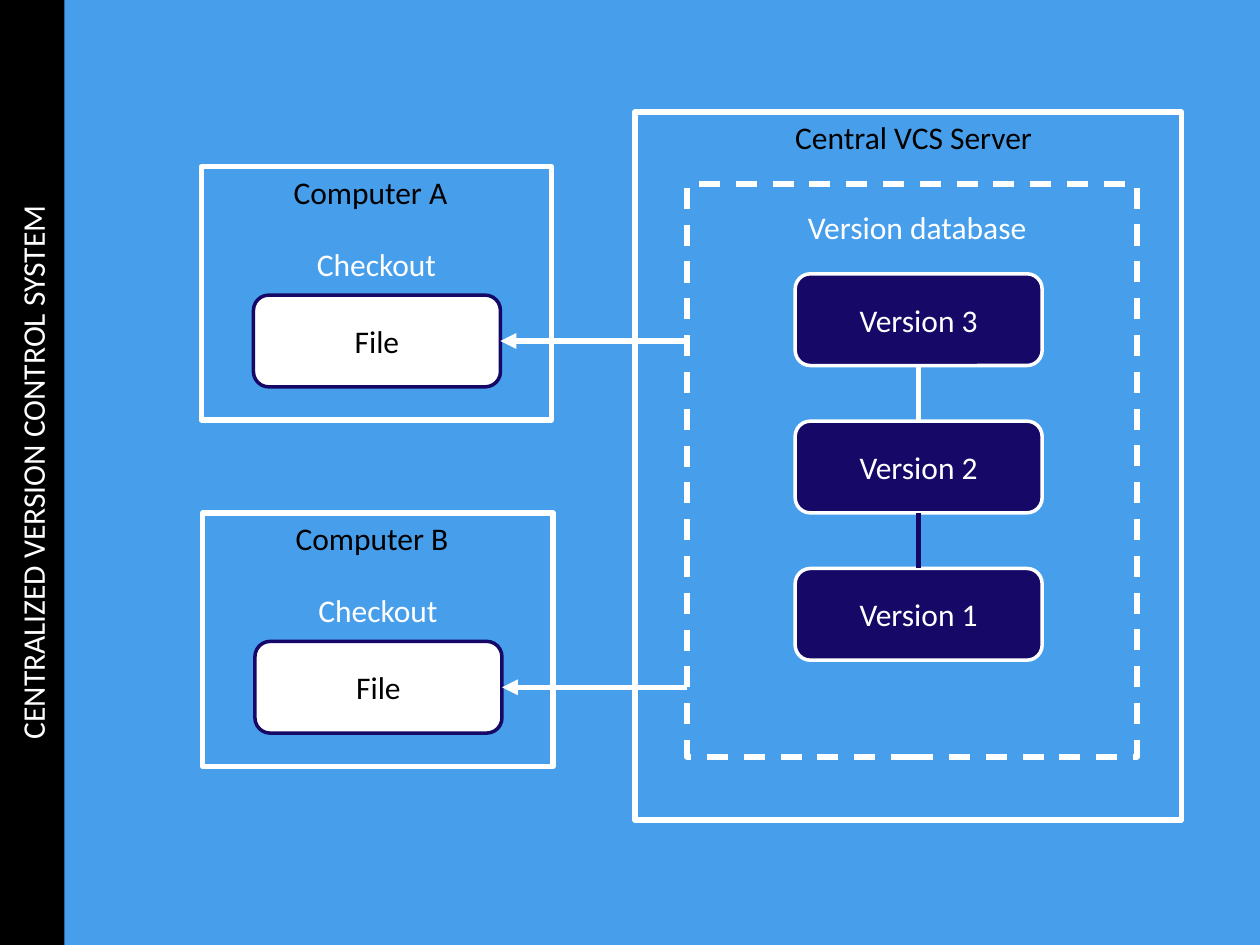
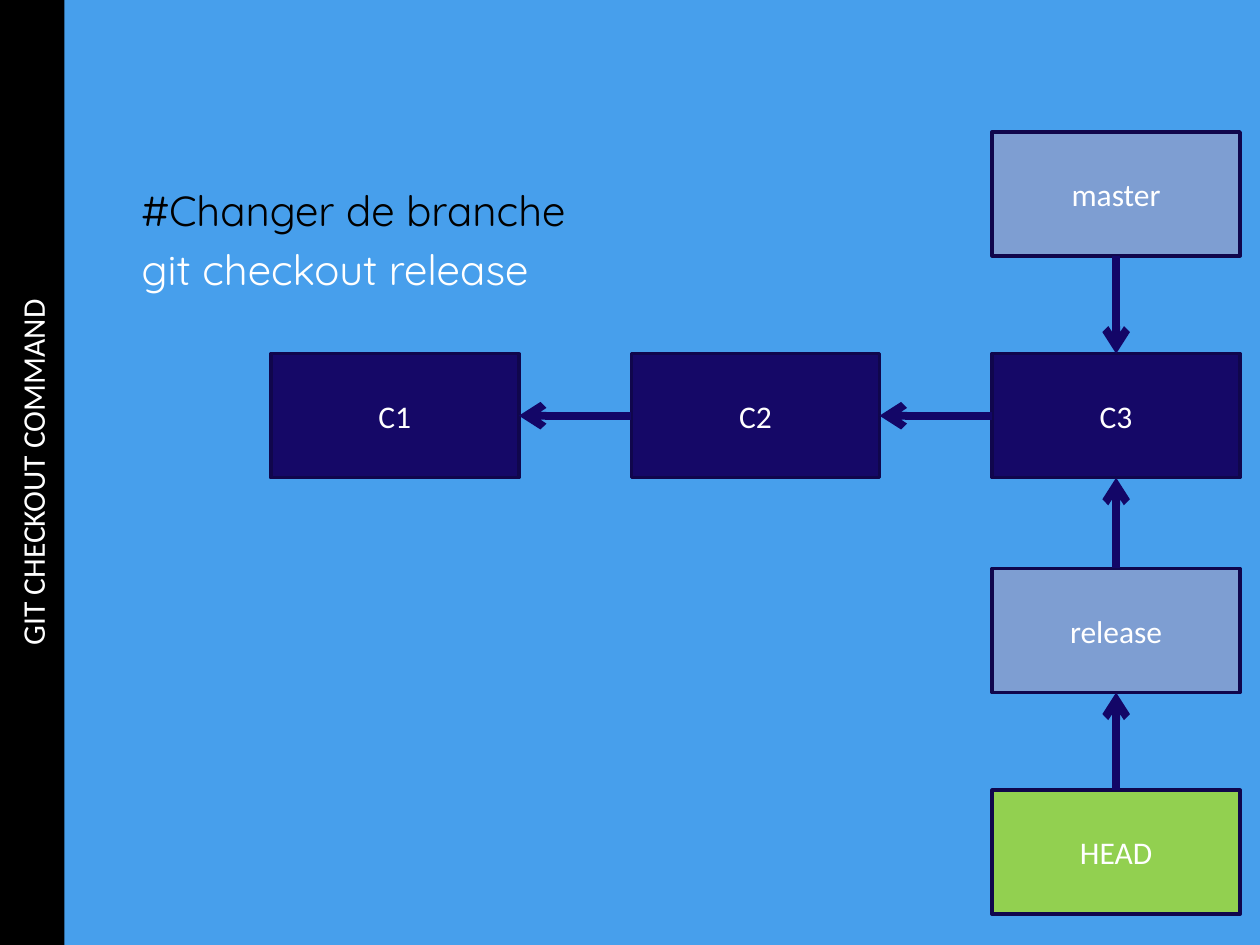
from pptx import Presentation
from pptx.dml.color import RGBColor
from pptx.enum import dml, shapes, text
from pptx.oxml.ns import qn
from pptx.util import Cm, Pt
from lxml import etree

SKY, NAVY, INK, EDGE = "479FEC", "150867", "130667", "10064C"
WHITE, BLACK, STEEL, GREEN = "FFFFFF", "000000", "7E9ED2", "92D050"
RECT = shapes.MSO_SHAPE.RECTANGLE
ROUND = shapes.MSO_SHAPE.ROUNDED_RECTANGLE
TOP, LEFT, BOTTOM, RIGHT = range(4)

PAGE_WIDTH, PAGE_HEIGHT, BAND_WIDTH = 25.4, 19.05, 1.3
TITLES = ("CENTRALIZED VERSION CONTROL SYSTEM", "GIT CHECKOUT COMMAND")

SERVER = (12.8, 2.26, 11.02, 14.27)
DATABASE = (13.85, 3.71, 9.07, 11.55)
SERVER_LABELS = [("Central VCS Server", 18.42, 2.26, BLACK),
                 ("Version database", 18.49, 4.06, WHITE)]
COMPUTERS = [("Computer A", 4.06, 3.36), ("Computer B", 4.09, 10.34)]
COMPUTER_SIZE = (7.06, 5.11)
VERSIONS = ["Version 3", "Version 2", "Version 1"]
VERSION_LEFT, VERSION_TOP, VERSION_STEP = 16.03, 5.52, 2.97
CARD_SIZE = (4.98, 1.85)
LINK_COLOURS = [WHITE, INK]

COMMAND_BODY = (2.6, 3.6, 20.24, 4.55)
COMMAND_LINES = [("#Changer de branche", BLACK), ("git checkout release", WHITE)]
COLUMN_LEFT, COLUMN_STEP = 5.46, 7.27
ROW_TOPS = [2.66, 7.13, 11.46, 15.93]
NODE_SIZE = (5, 2.5)
NODES = [("C1", 0, 1, NAVY), ("C2", 1, 1, NAVY), ("C3", 2, 1, NAVY),
         ("master", 2, 0, STEEL), ("release", 2, 2, STEEL), ("HEAD", 2, 3, GREEN)]
ARROWS = [("C2", LEFT, "C1", RIGHT), ("C3", LEFT, "C2", RIGHT),
          ("master", BOTTOM, "C3", TOP), ("release", TOP, "C3", BOTTOM),
          ("HEAD", TOP, "release", BOTTOM)]


def colour(value):
    return RGBColor.from_string(value)


def paint(fill, value):
    fill.solid()
    fill.fore_color.rgb = colour(value)


def write(para, words, *, font="Calibri", size=18, ink=WHITE,
          align=text.PP_ALIGN.CENTER):
    para.alignment = align
    span = para.add_run()
    span.text = words
    span.font.name, span.font.size = font, Pt(size)
    span.font.color.rgb = colour(ink)


def place(box, area):
    box.left, box.top, box.width, box.height = map(Cm, area)


def add_box(page, area, *, kind=RECT, words="", fill=None, line=WHITE,
            width=2, ink=WHITE, dash=None):
    box = page.shapes.add_shape(kind, *map(Cm, area))
    box.shadow.inherit = False
    if fill:
        paint(box.fill, fill)
    else:
        box.fill.background()
    box.line.color.rgb = colour(line)
    box.line.width = Pt(width)
    if dash:
        box.line.dash_style = dash
    if words:
        box.text_frame.vertical_anchor = text.MSO_ANCHOR.MIDDLE
        write(box.text_frame.paragraphs[0], words, ink=ink)
    return box


def add_label(page, words, centre, top, ink):
    width = 6
    box = page.shapes.add_textbox(*map(Cm, (centre - width / 2, top, width, 1.02)))
    box.text_frame.word_wrap = True
    write(box.text_frame.paragraphs[0], words, ink=ink)


def add_link(page, target, target_side, *, source=None, source_side=None,
             start=(0, 0), line=WHITE, width=3, arrow=None):
    link = page.shapes.add_connector(shapes.MSO_CONNECTOR.STRAIGHT, *start, *start)
    if source:
        link.begin_connect(source, source_side)
    link.end_connect(target, target_side)
    link.line.color.rgb = colour(line)
    link.line.width = Pt(width)
    if arrow:
        etree.SubElement(link.line._get_or_add_ln(), qn("a:tailEnd"), type=arrow)
    etree.SubElement(link._element.spPr, qn("a:effectLst"))


def add_page(deck, layout, words):
    page = deck.slides.add_slide(deck.slide_layouts[layout])
    title = page.shapes.title
    shift = (PAGE_HEIGHT - BAND_WIDTH) / 2
    place(title, (-shift, shift, PAGE_HEIGHT, BAND_WIDTH))
    title.rotation = 270
    paint(title.fill, BLACK)
    frame = title.text_frame
    frame.auto_size = text.MSO_AUTO_SIZE.NONE
    frame.vertical_anchor = text.MSO_ANCHOR.MIDDLE
    write(frame.paragraphs[0], words)
    return page


def build_server_page(deck):
    page = add_page(deck, 5, TITLES[0])
    add_box(page, SERVER, width=3)
    add_box(page, DATABASE, width=3, dash=dml.MSO_LINE.DASH)
    for label in SERVER_LABELS:
        add_label(page, *label)

    cards = [add_box(page, (VERSION_LEFT, VERSION_TOP + index * VERSION_STEP, *CARD_SIZE),
                     kind=ROUND, words=words, fill=NAVY)
             for index, words in enumerate(VERSIONS)]
    for upper, lower, line in zip(cards, cards[1:], LINK_COLOURS):
        add_link(page, lower, TOP, source=upper, source_side=BOTTOM, line=line)

    for name, left, top in COMPUTERS:
        add_box(page, (left, top, *COMPUTER_SIZE), width=3)
        centre = left + COMPUTER_SIZE[0] / 2
        add_label(page, name, centre - 0.12, top, BLACK)
        add_label(page, "Checkout", centre, top + 1.45, WHITE)
        file = add_box(page, (left + 1.05, top + 2.59, *CARD_SIZE), kind=ROUND,
                       words="File", fill=WHITE, line=NAVY, ink=BLACK)
        start = (Cm(DATABASE[0]), file.top + file.height // 2)
        add_link(page, file, RIGHT, start=start, arrow="triangle")


def build_command_page(deck):
    page = add_page(deck, 1, TITLES[1])
    body = page.placeholders[1]
    place(body, COMMAND_BODY)
    frame = body.text_frame
    for index, (words, ink) in enumerate(COMMAND_LINES):
        para = frame.add_paragraph() if index else frame.paragraphs[0]
        write(para, words, font="Quicksand", size=24, ink=ink, align=text.PP_ALIGN.LEFT)
        etree.SubElement(para._p.get_or_add_pPr(), qn("a:buNone"))

    nodes = {}
    for words, column, row, fill in NODES:
        area = (COLUMN_LEFT + column * COLUMN_STEP, ROW_TOPS[row], *NODE_SIZE)
        nodes[words] = add_box(page, area, words=words, fill=fill, line=EDGE)
    for source, source_side, target, target_side in ARROWS:
        add_link(page, nodes[target], target_side, source=nodes[source],
                 source_side=source_side, line=INK, width=4.5, arrow="arrow")


def main():
    deck = Presentation()
    deck.slide_width, deck.slide_height = Cm(PAGE_WIDTH), Cm(PAGE_HEIGHT)
    paint(deck.slide_master.background.fill, SKY)
    build_server_page(deck)
    build_command_page(deck)
    deck.save("out.pptx")


if __name__ == "__main__":
    main()
